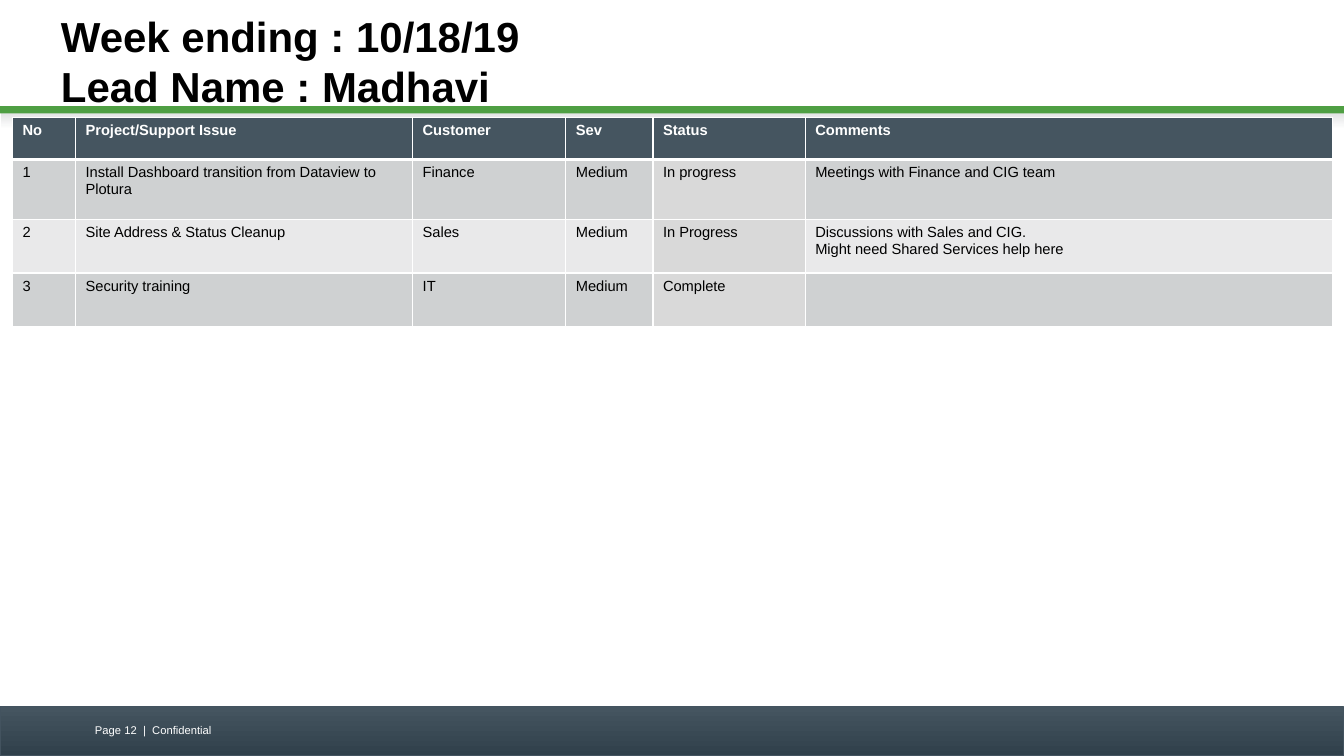
from lxml import etree
from pptx import Presentation
from pptx.dml.color import RGBColor
from pptx.enum.shapes import MSO_SHAPE
from pptx.enum.text import MSO_ANCHOR
from pptx.oxml.ns import qn
from pptx.util import Pt

RECTANGLE = MSO_SHAPE.RECTANGLE
MIDDLE = MSO_ANCHOR.MIDDLE
PX = 9525
WIDTH, HEIGHT = 1280, 720
FONT = "Arial"
WHITE, BLACK, SLATE, GREEN = "FFFFFF", "000000", "455560", "4F9F43"
BAND_FILLS = ("CFD1D2", "E9E9EA")
STATUS_FILL = "D9D9D9"
STATUS_COLUMN = 4

COLUMN_WIDTHS = (60, 321, 146, 83, 145, 502)
ROW_HEIGHTS = (40, 57, 51, 51)
ISSUES = (
    ("No", "Project/Support Issue", "Customer", "Sev", "Status", "Comments"),
    ("1", "Install Dashboard transition from Dataview to Plotura", "Finance",
     "Medium", "In progress", "Meetings with Finance and CIG team"),
    ("2", "Site Address & Status Cleanup", "Sales", "Medium", "In Progress",
     "Discussions with Sales and CIG.\nMight need Shared Services help here"),
    ("3", "Security training", "IT", "Medium", "Complete", ""),
)


def color(value):
    return RGBColor.from_string(value)


def scaled(box):
    return [length * PX for length in box]


def paint(fill, value):
    fill.solid()
    fill.fore_color.rgb = color(value)


def add_span(para, text, size, value, bold=False):
    span = para.add_run()
    span.text = text
    span.font.name = FONT
    span.font.size = Pt(size)
    span.font.bold = bold
    span.font.color.rgb = color(value)


def add_bar(page, box, values, angle=0):
    bar = page.shapes.add_shape(RECTANGLE, *scaled(box))
    bar.shadow.inherit = False
    bar.line.fill.background()
    if len(values) == 1:
        paint(bar.fill, values[0])
    else:
        bar.fill.gradient()
        bar.fill.gradient_angle = angle
        for stop, value in zip(bar.fill.gradient_stops, values):
            stop.color.rgb = color(value)
    return bar


def add_heading(page, box):
    left, top, width, height = box
    add_bar(page, (left + 1, top + 108, width, 15), ("E4E5E6", WHITE), 270)
    add_bar(page, (left, top + 101, width, 7), (GREEN,))
    title = page.shapes.add_textbox(*scaled((left + 58, top + 19, 1088, 78)))
    paint(title.fill, WHITE)
    frame = title.text_frame
    frame.word_wrap = True
    frame.vertical_anchor = MIDDLE
    frame.margin_left = frame.margin_right = 0
    para = frame.paragraphs[0]
    add_span(para, "Week ending : 10/18/19", 30, BLACK, True)
    para.add_line_break()
    add_span(para, "Lead Name : Madhavi", 30, BLACK, True)


def add_footer(page, box):
    left, top, width, height = box
    bar = add_bar(page, box, ("30404B", SLATE), 90)
    bar.line.color.rgb = color("43535F")
    bar.line.width = Pt(0.75)
    note = page.shapes.add_textbox(*scaled((left + 81, top + 11, 299, 25)))
    note.text_frame.word_wrap = True
    add_span(note.text_frame.paragraphs[0], "Page 12  |  Confidential", 8, WHITE)


def add_borders(cell, top, bottom):
    properties = cell._tc.get_or_add_tcPr()
    edges = (("a:lnL", 1), ("a:lnR", 1), ("a:lnT", top), ("a:lnB", bottom))
    for position, (tag, points) in enumerate(edges):
        edge = etree.Element(qn(tag), w=str(Pt(points)))
        fill = etree.SubElement(edge, qn("a:solidFill"))
        etree.SubElement(fill, qn("a:srgbClr"), val=WHITE)
        properties.insert(position, edge)


def cell_fill(row, column):
    if row == 0:
        return SLATE
    if column == STATUS_COLUMN:
        return STATUS_FILL
    return BAND_FILLS[(row - 1) % 2]


def fill_cell(cell, text, row, column):
    header = row == 0
    paint(cell.fill, cell_fill(row, column))
    add_borders(cell, 3 if row == 1 else 1, 3 if header else 1)
    frame = cell.text_frame
    for index, line in enumerate(text.split("\n")):
        para = frame.add_paragraph() if index else frame.paragraphs[0]
        if line:
            add_span(para, line, 10.5, WHITE if header else BLACK, header)


def add_issue_table(page, box):
    table = page.shapes.add_table(
        len(ROW_HEIGHTS), len(COLUMN_WIDTHS), *scaled(box)).table
    for column, width in zip(table.columns, COLUMN_WIDTHS):
        column.width = width * PX
    for row, height in zip(table.rows, ROW_HEIGHTS):
        row.height = height * PX
    for row, texts in enumerate(ISSUES):
        for column, text in enumerate(texts):
            fill_cell(table.cell(row, column), text, row, column)


def main():
    deck = Presentation()
    deck.slide_width = WIDTH * PX
    deck.slide_height = HEIGHT * PX
    page = deck.slides.add_slide(deck.slide_layouts[6])
    add_footer(page, (0, 673, WIDTH, 47))
    add_heading(page, (0, 0, WIDTH, 123))
    add_issue_table(page, (12, 112, sum(COLUMN_WIDTHS), sum(ROW_HEIGHTS)))
    deck.save("out.pptx")


if __name__ == "__main__":
    main()
